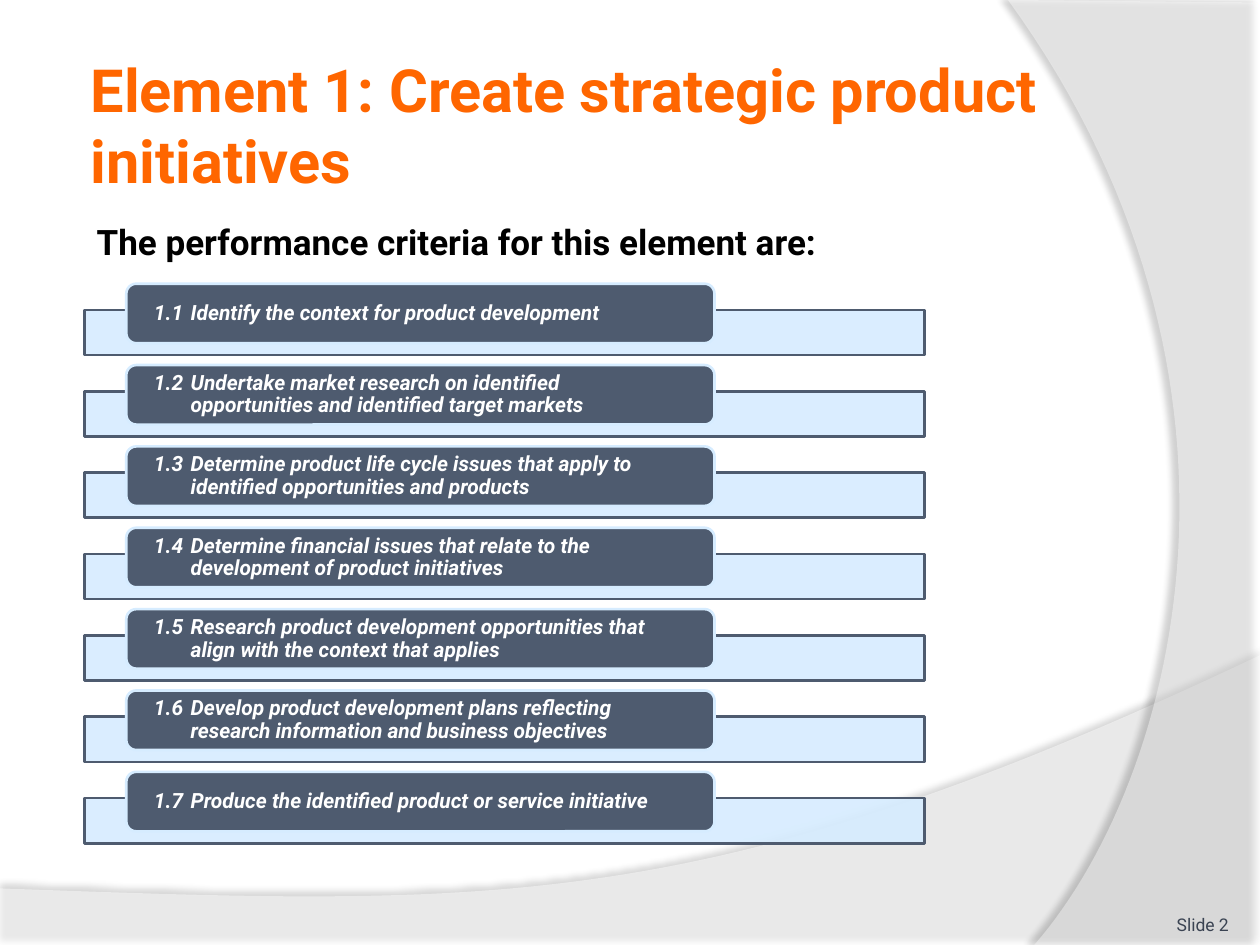
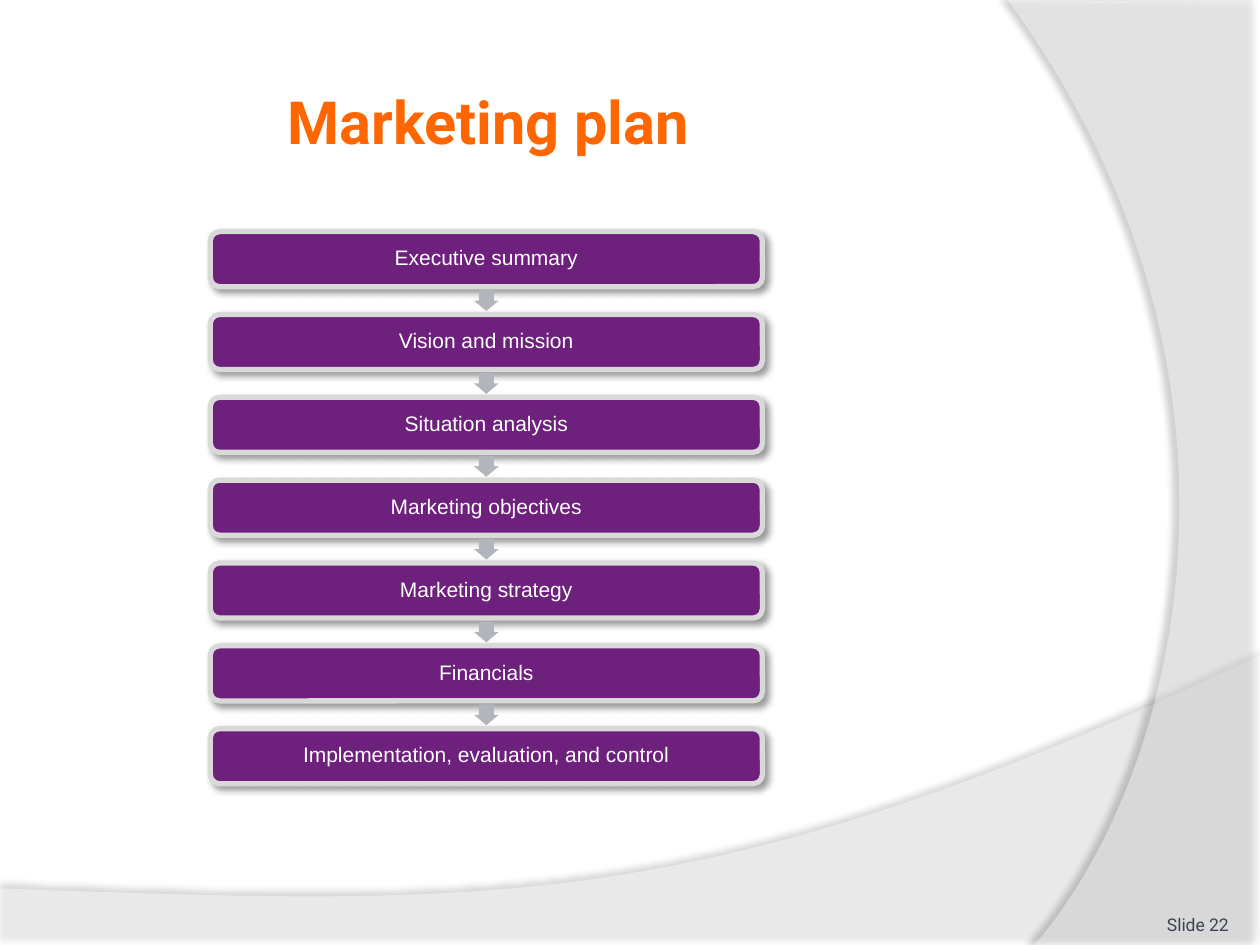
from lxml.etree import SubElement
from pptx import Presentation
from pptx.dml.color import RGBColor
from pptx.enum.shapes import MSO_SHAPE
from pptx.enum.text import MSO_ANCHOR, PP_ALIGN
from pptx.oxml.ns import qn
from pptx.util import Cm, Pt

WHITE = RGBColor(0xFF, 0xFF, 0xFF)
BLACK = RGBColor(0x00, 0x00, 0x00)
ORANGE = RGBColor(0xFF, 0x66, 0x00)
SLATE = RGBColor(0x4E, 0x5B, 0x6F)
DARK_SLATE = RGBColor(0x3A, 0x43, 0x52)
PALE_BLUE = RGBColor(0xD6, 0xEC, 0xFF)
PURPLE = RGBColor(0x6D, 0x20, 0x7C)
LIGHT_GREY = RGBColor(0xD9, 0xD9, 0xD9)
ARROW_GREY = RGBColor(0xB2, 0xB5, 0xBB)

WIDTH, HEIGHT = 25.4, 19.05

CRITERIA = [
    "Identify the context for product development",
    "Undertake market research on identified opportunities and identified target markets",
    "Determine product life cycle issues that apply to identified opportunities and products",
    "Determine financial issues that relate to the development of product initiatives",
    "Research product development opportunities that align with the context that applies",
    "Develop product development plans reflecting research information and business objectives",
    "Produce the identified product or service initiative",
]
PLAN_STEPS = [
    "Executive summary",
    "Vision and mission",
    "Situation analysis",
    "Marketing objectives",
    "Marketing strategy",
    "Financials",
    "Implementation, evaluation, and control",
]


def write(sp, text, size=12, color=WHITE, font="Roboto", bold=False, italic=False,
          align=PP_ALIGN.LEFT, anchor=MSO_ANCHOR.MIDDLE, inset=(0.13, 0.13),
          spacing=None, hanging=None):
    """Fill a shape with one formatted paragraph; inset is (horizontal, vertical)."""
    tf = sp.text_frame
    tf.word_wrap = True
    tf.vertical_anchor = anchor
    tf.margin_left = tf.margin_right = Cm(inset[0])
    tf.margin_top = tf.margin_bottom = Cm(inset[1])
    p = tf.paragraphs[0]
    p.alignment = align
    if spacing:
        p.line_spacing = spacing
    if hanging:
        pPr = p._p.get_or_add_pPr()
        pPr.set("marL", str(Cm(hanging)))
        pPr.set("indent", str(-Cm(hanging)))
    r = p.add_run()
    r.text = text
    r.font.name = font
    r.font.size = Pt(size)
    r.font.bold = bold
    r.font.italic = italic
    r.font.color.rgb = color


def add_text(s, text, left, top, width, height, **fmt):
    """Add a text box."""
    sp = s.shapes.add_textbox(Cm(left), Cm(top), Cm(width), Cm(height))
    write(sp, text, **fmt)


def paint(sp, fill, opacity=100, line=None, line_width=1.5):
    """Set the fill and outline of a shape and clear its shadow."""
    sp.shadow.inherit = False
    sp.fill.solid()
    sp.fill.fore_color.rgb = fill
    if opacity < 100:
        color = sp._element.spPr.find(qn("a:solidFill"))[0]
        SubElement(color, qn("a:alpha"), val=str(opacity * 1000))
    if line is None:
        sp.line.fill.background()
    else:
        sp.line.color.rgb = line
        sp.line.width = Pt(line_width)


def cast_shadow(sp, opacity, distance, angle, blur=4):
    """Give a painted shape a soft black shadow."""
    effects = sp._element.spPr.find(qn("a:effectLst"))
    shadow = SubElement(effects, qn("a:outerShdw"), blurRad=str(Pt(blur)),
                        dist=str(Pt(distance)), dir=str(angle * 60000),
                        algn="ctr", rotWithShape="0")
    color = SubElement(shadow, qn("a:srgbClr"), val=str(BLACK))
    SubElement(color, qn("a:alpha"), val=str(opacity * 1000))


def add_shape(s, kind, left, top, width, height, **look):
    """Add a painted preset shape."""
    sp = s.shapes.add_shape(kind, Cm(left), Cm(top), Cm(width), Cm(height))
    paint(sp, **look)
    return sp


def curve(a, b, c, d, steps=60):
    """Return points along a cubic curve after its start."""
    points = []
    for i in range(1, steps + 1):
        t = i / steps
        u = 1 - t
        points.append(tuple(u**3 * a[k] + 3 * u * u * t * b[k] + 3 * u * t * t * c[k]
                            + t**3 * d[k] for k in (0, 1)))
    return points


def add_wave(s, corners, controls, end, fill_opacity, **shadow):
    """Add a translucent band whose last corner curves to the end point."""
    points = corners + curve(corners[-1], *controls, end)
    (x, y), *rest = [(Cm(px), Cm(py)) for px, py in points]
    builder = s.shapes.build_freeform(x, y)
    builder.add_line_segments(rest, close=True)
    sp = builder.convert_to_shape()
    paint(sp, WHITE, fill_opacity)
    cast_shadow(sp, **shadow)


def add_backdrop(s):
    """Draw the two curved bands at the bottom and right."""
    add_wave(s, [(0, 17.91), (0, 19.08), (WIDTH, 19.08), (WIDTH, 13.21)],
             [(14.2, 18.52), (9.93, 18.26)], (0, 17.91), 45,
             opacity=35, distance=3.5, angle=270)
    add_wave(s, [(WIDTH, 0.05), (WIDTH, HEIGHT), (20.85, HEIGHT)],
             [(23.75, 15.72), (25.86, 7.62)], (20.32, 0), 40,
             opacity=45, distance=4, angle=180)


def add_slide(prs, title, number, left, top, width, align=PP_ALIGN.LEFT):
    """Add a slide with backdrop, title and slide number."""
    s = prs.slides.add_slide(prs.slide_layouts[6])
    add_backdrop(s)
    add_text(s, title, left, top, width, 3.18, size=34, color=ORANGE, bold=True, align=align)
    add_text(s, f"Slide {number}", 22.66, 17.83, 2.11, 1.02, size=10, color=DARK_SLATE,
             align=PP_ALIGN.RIGHT, anchor=MSO_ANCHOR.BOTTOM, inset=(0, 0))
    return s


def add_criteria(s, left, top, width, pitch=1.64):
    """Stack numbered labels, each over a pale bar."""
    for i, criterion in enumerate(CRITERIA):
        y = top + i * pitch
        add_shape(s, MSO_SHAPE.RECTANGLE, left, y + 0.53, width, 0.91,
                  fill=PALE_BLUE, opacity=90, line=SLATE)
        label = add_shape(s, MSO_SHAPE.ROUNDED_RECTANGLE, left + width * 0.05, y,
                          width * 0.7, 1.2, fill=SLATE, line=PALE_BLUE)
        write(label, f"1.{i + 1}\t{criterion}", bold=True, italic=True,
              inset=(0.5, 0.05), spacing=0.9, hanging=0.74)


def add_plan(s, left, top, width, pitch=1.67):
    """Stack the plan steps with an arrow between neighbours."""
    step_height, arrow_width, arrow_height = 1.11, 0.5, 0.42
    for i, step in enumerate(PLAN_STEPS):
        y = top + i * pitch
        if i:
            arrow = add_shape(s, MSO_SHAPE.DOWN_ARROW, left + (width - arrow_width) / 2,
                              y - (pitch - step_height + arrow_height) / 2,
                              arrow_width, arrow_height, fill=ARROW_GREY)
            arrow.adjustments[0] = 0.6
        box = add_shape(s, MSO_SHAPE.ROUNDED_RECTANGLE, left, y, width, step_height,
                        fill=PURPLE, line=LIGHT_GREY, line_width=3)
        cast_shadow(box, opacity=40, distance=3, angle=45)
        write(box, step, font="Arial", align=PP_ALIGN.CENTER, inset=(0.18, 0.18), spacing=0.9)


def main():
    """Build and save the two slides."""
    prs = Presentation()
    prs.slide_width, prs.slide_height = Cm(WIDTH), Cm(HEIGHT)

    s = add_slide(prs, "Element 1: Create strategic product initiatives", 2, 1.7, 0.91, 20.75)
    add_text(s, "The performance criteria for this element are:", 1.7, 4.32, 20.75, 12.57,
             size=20, color=BLACK, bold=True, anchor=MSO_ANCHOR.TOP, inset=(0.25, 0.13))
    add_criteria(s, 1.7, 5.72, 16.94)

    s = add_slide(prs, "Marketing plan", 22, 2.97, 0.84, 13.74, align=PP_ALIGN.CENTER)
    add_plan(s, 4.24, 4.67, 11.13)

    prs.save("out.pptx")


if __name__ == "__main__":
    main()
